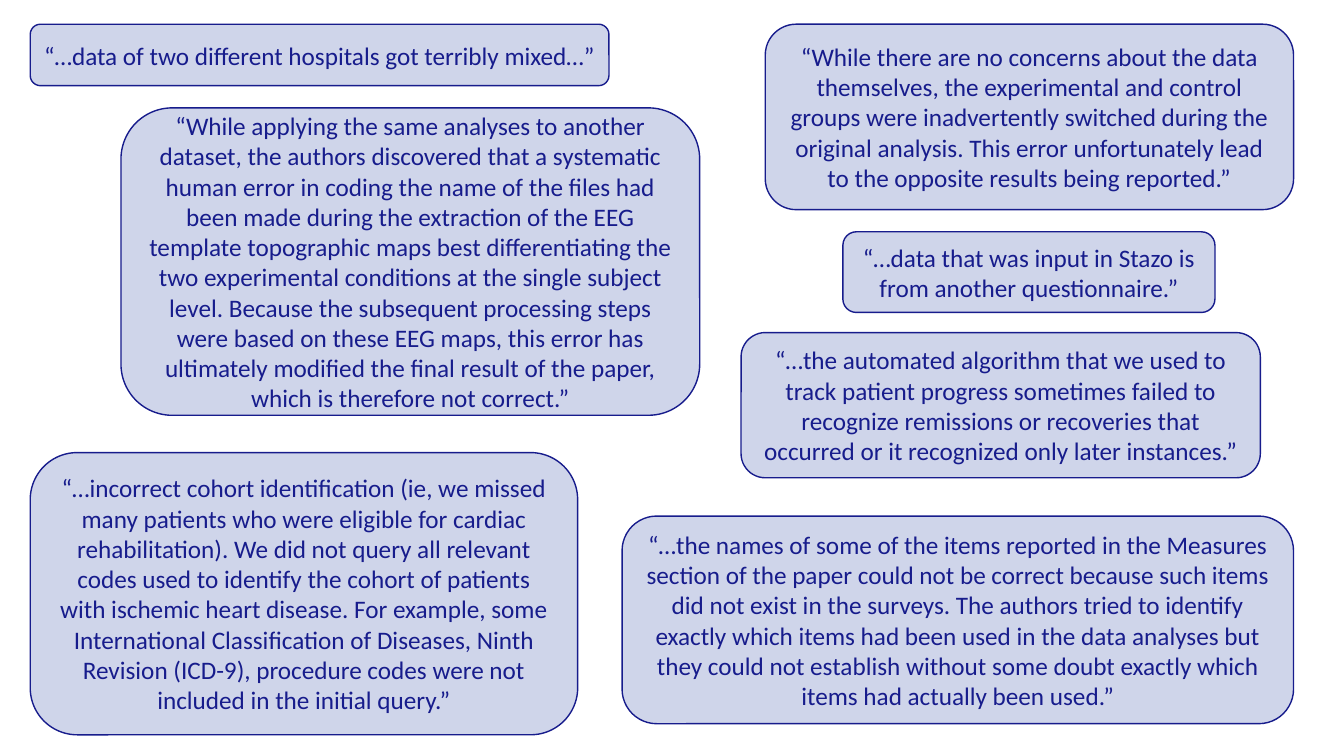
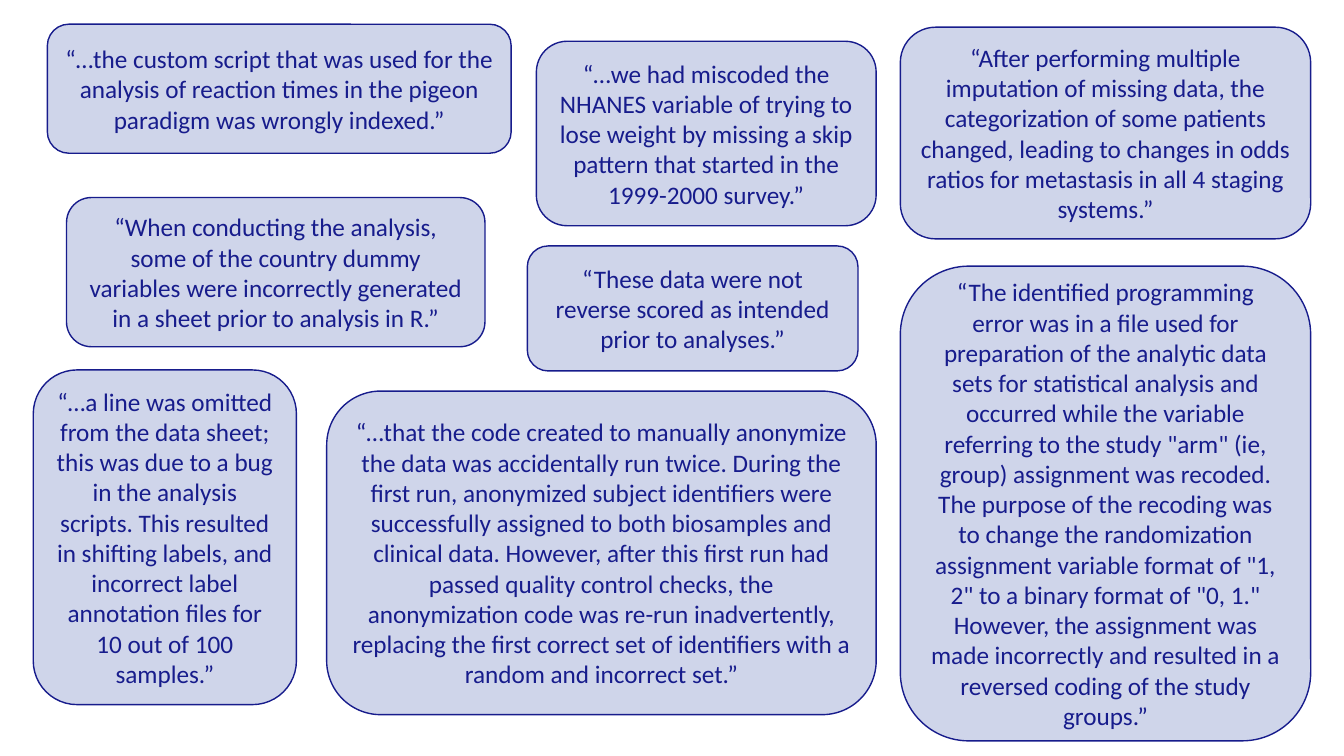
from pptx import Presentation
from pptx.dml.color import RGBColor
from pptx.enum.shapes import MSO_SHAPE
from pptx.enum.text import MSO_ANCHOR, PP_ALIGN
from pptx.util import Inches, Pt

COLORS = {"fill": "CFD5EA", "ink": "171C8C"}
FONT = {"name": "Calibri", "size": Pt(18)}
FRAME = {"word_wrap": True, "vertical_anchor": MSO_ANCHOR.MIDDLE}
BLANK_LAYOUT = 6

DATA_ERRORS = [
    ((0.3, 0.24, 5.74, 0.61),
     "“…data of two different hospitals got terribly mixed…”"),
    ((7.59, 0.24, 5.24, 1.84),
     "“While there are no concerns about the data themselves, the experimental "
     "and control groups were inadvertently switched during the original analysis. "
     "This error unfortunately lead to the opposite results being reported.”"),
    ((6.17, 5.12, 6.66, 2.06),
     "“…the names of some of the items reported in the Measures section of the "
     "paper could not be correct because such items did not exist in the surveys. "
     "The authors tried to identify exactly which items had been used in the data "
     "analyses but they could not establish without some doubt exactly which items "
     "had actually been used.”"),
    ((7.35, 3.3, 5.15, 1.44),
     "“…the automated algorithm that we used to track patient progress sometimes "
     "failed to recognize remissions or recoveries that occurred or it recognized "
     "only later instances.”"),
    ((0.3, 4.49, 5.43, 2.8),
     "“…incorrect cohort identification (ie, we missed many patients who were "
     "eligible for cardiac rehabilitation). We did not query all relevant codes "
     "used to identify the cohort of patients with ischemic heart disease. For "
     "example, some International Classification of Diseases, Ninth Revision "
     "(ICD-9), procedure codes were not included in the initial query.”"),
    ((8.36, 2.3, 3.69, 0.8),
     "“…data that was input in Stazo is from another questionnaire.”"),
    ((1.2, 1.07, 5.74, 3.05),
     "“While applying the same analyses to another dataset, the authors discovered "
     "that a systematic human error in coding the name of the files had been made "
     "during the extraction of the EEG template topographic maps best "
     "differentiating the two experimental conditions at the single subject level. "
     "Because the subsequent processing steps were based on these EEG maps, this "
     "error has ultimately modified the final result of the paper, which is "
     "therefore not correct.”"),
]

CODING_ERRORS = [
    ((0.66, 1.96, 4.15, 1.48),
     "“When conducting the analysis, some of the country dummy variables were "
     "incorrectly generated in a sheet prior to analysis in R.”"),
    ((5.23, 2.44, 3.28, 1.24),
     "“These data were not reverse scored as intended prior to analyses.”"),
    ((8.93, 0.27, 4.07, 2.1),
     "“After performing multiple imputation of missing data, the categorization of "
     "some patients changed, leading to changes in odds ratios for metastasis in "
     "all 4 staging systems.”"),
    ((5.32, 0.41, 3.37, 1.83),
     "“…we had miscoded the NHANES variable of trying to lose weight by missing a "
     "skip pattern that started in the 1999-2000 survey.”"),
    ((0.33, 3.67, 2.61, 3.32),
     "“…a line was omitted from the data sheet; this was due to a bug in the "
     "analysis scripts. This resulted in shifting labels, and incorrect label "
     "annotation files for 10 out of 100 samples.”"),
    ((8.93, 2.64, 4.07, 4.71),
     "“The identified programming error was in a file used for preparation of the "
     "analytic data sets for statistical analysis and occurred while the variable "
     'referring to the study "arm" (ie, group) assignment was recoded. The purpose '
     "of the recoding was to change the randomization assignment variable format "
     'of "1, 2" to a binary format of "0, 1." However, the assignment was made '
     "incorrectly and resulted in a reversed coding of the study groups.”"),
    ((0.47, 0.24, 4.6, 1.28),
     "“…the custom script that was used for the analysis of reaction times in the "
     "pigeon paradigm was wrongly indexed.”"),
    ((3.24, 3.88, 5.45, 3.21),
     "“…that the code created to manually anonymize the data was accidentally run "
     "twice. During the first run, anonymized subject identifiers were successfully "
     "assigned to both biosamples and clinical data. However, after this first run "
     "had passed quality control checks, the anonymization code was re-run "
     "inadvertently, replacing the first correct set of identifiers with a random "
     "and incorrect set.”"),
]


def color(name):
    return RGBColor.from_string(COLORS[name])


def apply(target, formats):
    for key, value in formats.items():
        setattr(target, key, value)


def add_quote(s, box, text):
    sp = s.shapes.add_shape(MSO_SHAPE.ROUNDED_RECTANGLE, *map(Inches, box))
    sp.shadow.inherit = False
    sp.fill.solid()
    sp.fill.fore_color.rgb = color("fill")
    sp.line.color.rgb = color("ink")
    sp.line.width = Pt(1)
    tf = sp.text_frame
    apply(tf, FRAME)
    p = tf.paragraphs[0]
    p.alignment = PP_ALIGN.CENTER
    r = p.add_run()
    r.text = text
    apply(r.font, FONT)
    r.font.color.rgb = color("ink")


def add_quote_slide(prs, quotes):
    s = prs.slides.add_slide(prs.slide_layouts[BLANK_LAYOUT])
    for box, text in quotes:
        add_quote(s, box, text)


def main():
    prs = Presentation()
    apply(prs, {"slide_width": Inches(13.33), "slide_height": Inches(7.5)})
    for quotes in (DATA_ERRORS, CODING_ERRORS):
        add_quote_slide(prs, quotes)
    prs.save("out.pptx")


if __name__ == "__main__":
    main()
